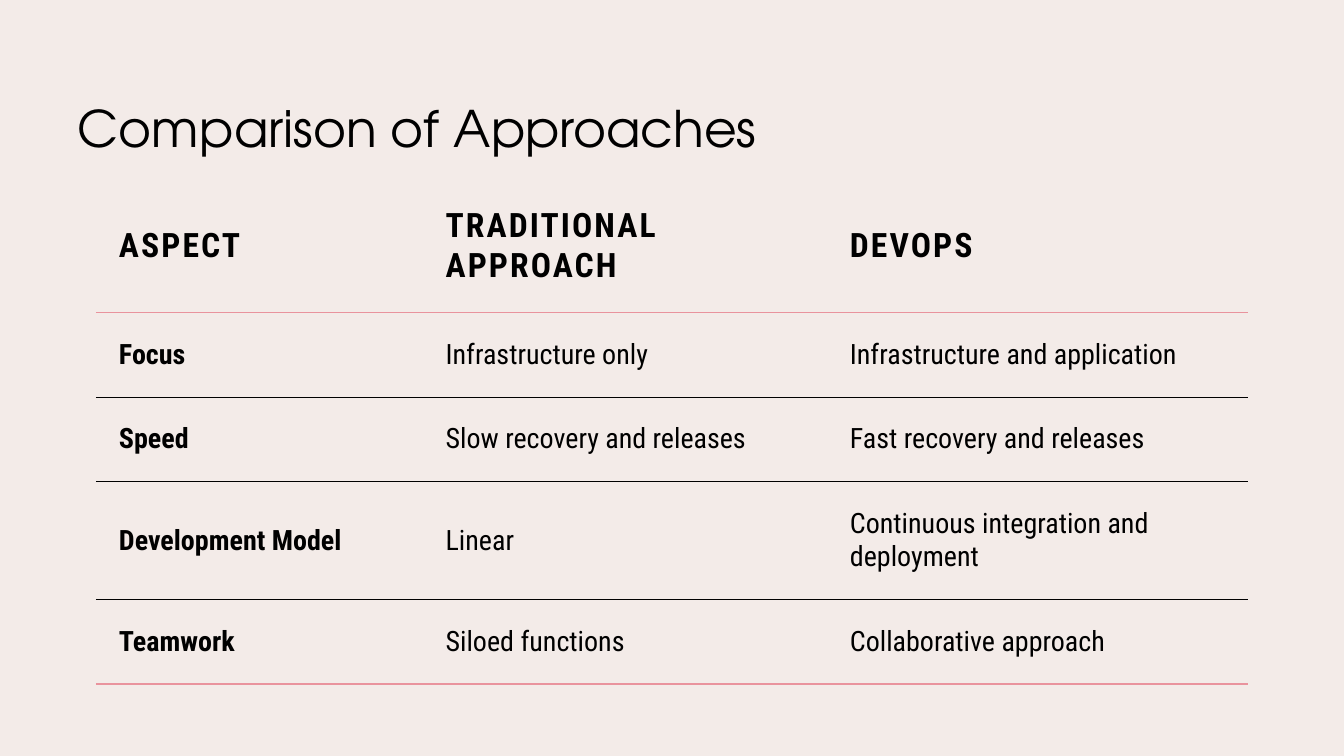
from dataclasses import dataclass

from lxml import etree
from pptx import Presentation
from pptx.dml.color import RGBColor
from pptx.enum.text import MSO_ANCHOR, MSO_AUTO_SIZE, PP_ALIGN
from pptx.oxml.ns import qn
from pptx.slide import Slide
from pptx.table import _Cell
from pptx.text.text import _Paragraph
from pptx.util import Inches, Pt

BOTTOM = MSO_ANCHOR.BOTTOM
MIDDLE = MSO_ANCHOR.MIDDLE
NO_AUTOFIT = MSO_AUTO_SIZE.NONE
LEFT = PP_ALIGN.LEFT

COLORS = {"background": "F3EBE8", "text": "000000", "accent": "E9939D"}
TITLE_FONT = "TeX Gyre Adventor"
TABLE_FONT = "Roboto Condensed"
CELL_MARGIN = Inches(0.23)
COLUMN_WIDTHS = (3.24, 4.01, 4.18)


@dataclass(frozen=True)
class TextStyle:
    font: str
    size: float
    bold: bool = False
    spacing: float = 0


@dataclass(frozen=True)
class Rule:
    color: str
    width: float


@dataclass(frozen=True)
class TableRow:
    height: float
    texts: tuple[str, ...]


TITLE_STYLE = TextStyle(TITLE_FONT, 36)
HEADER_STYLE = TextStyle(TABLE_FONT, 24, bold=True, spacing=1.5)
LABEL_STYLE = TextStyle(TABLE_FONT, 20, bold=True)
BODY_STYLE = TextStyle(TABLE_FONT, 20)

ACCENT_RULE = Rule("accent", 1.5)
THIN_RULE = Rule("text", 0.5)

ROWS = (
    TableRow(1.32, ("ASPECT", "TRADITIONAL APPROACH", "DEVOPS")),
    TableRow(0.84, ("Focus", "Infrastructure only", "Infrastructure and application")),
    TableRow(0.84, ("Speed", "Slow recovery and releases", "Fast recovery and releases")),
    TableRow(1.17, ("Development Model", "Linear", "Continuous integration and deployment")),
    TableRow(0.84, ("Teamwork", "Siloed functions", "Collaborative approach")),
)


def style_paragraph(para: _Paragraph, style: TextStyle) -> None:
    para.alignment = LEFT
    para.font.name = style.font
    para.font.size = Pt(style.size)
    para.font.bold = style.bold
    para.font.color.rgb = RGBColor.from_string(COLORS["text"])
    if style.spacing:
        for properties in para._p.iter(qn("a:defRPr")):
            properties.set("spc", str(int(style.spacing * 100)))


def add_border(cell: _Cell, side: str, rule: Rule | None) -> None:
    line = etree.SubElement(cell._tc.get_or_add_tcPr(), qn(f"a:ln{side}"))
    if rule is None:
        line.set("w", "0")
        etree.SubElement(line, qn("a:noFill"))
        return
    line.set("w", str(Pt(rule.width)))
    fill = etree.SubElement(line, qn("a:solidFill"))
    etree.SubElement(fill, qn("a:srgbClr"), val=COLORS[rule.color])


def rule_below(row_index: int) -> Rule | None:
    if row_index < 0:
        return None
    return ACCENT_RULE if row_index in (0, len(ROWS) - 1) else THIN_RULE


def cell_style(row_index: int, column_index: int) -> TextStyle:
    if row_index == 0:
        return HEADER_STYLE
    return LABEL_STYLE if column_index == 0 else BODY_STYLE


def fill_cell(cell: _Cell, text: str, row_index: int, column_index: int) -> None:
    cell.text = text
    cell.vertical_anchor = MIDDLE
    cell.margin_left = cell.margin_right = CELL_MARGIN
    cell.margin_top = cell.margin_bottom = CELL_MARGIN
    style_paragraph(cell.text_frame.paragraphs[0], cell_style(row_index, column_index))
    add_border(cell, "L", None)
    add_border(cell, "R", None)
    add_border(cell, "T", rule_below(row_index - 1))
    add_border(cell, "B", rule_below(row_index))
    cell.fill.background()


def add_title(page: Slide, text: str) -> None:
    title = page.shapes.title
    title.left, title.top = Inches(0.67), Inches(0.56)
    title.width, title.height = Inches(11.99), Inches(1.06)
    frame = title.text_frame
    frame.text = text
    frame.word_wrap = True
    frame.auto_size = NO_AUTOFIT
    frame.vertical_anchor = BOTTOM
    para = frame.paragraphs[0]
    para.line_spacing = 0.9
    style_paragraph(para, TITLE_STYLE)


def add_comparison(page: Slide) -> None:
    width = Inches(sum(COLUMN_WIDTHS))
    height = Inches(sum(row.height for row in ROWS))
    frame = page.shapes.add_table(
        len(ROWS), len(COLUMN_WIDTHS), Inches(0.95), Inches(1.78), width, height
    )
    table = frame.table
    table.first_row = False
    table.horz_banding = False
    for column, column_width in zip(table.columns, COLUMN_WIDTHS):
        column.width = Inches(column_width)
    for row_index, row in enumerate(ROWS):
        table.rows[row_index].height = Inches(row.height)
        for column_index, text in enumerate(row.texts):
            fill_cell(table.cell(row_index, column_index), text, row_index, column_index)


def main() -> None:
    deck = Presentation()
    deck.slide_width, deck.slide_height = Inches(13.33), Inches(7.5)
    page = deck.slides.add_slide(deck.slide_layouts[5])
    page.background.fill.solid()
    page.background.fill.fore_color.rgb = RGBColor.from_string(COLORS["background"])
    add_title(page, "Comparison of Approaches")
    add_comparison(page)
    deck.save("out.pptx")


if __name__ == "__main__":
    main()
